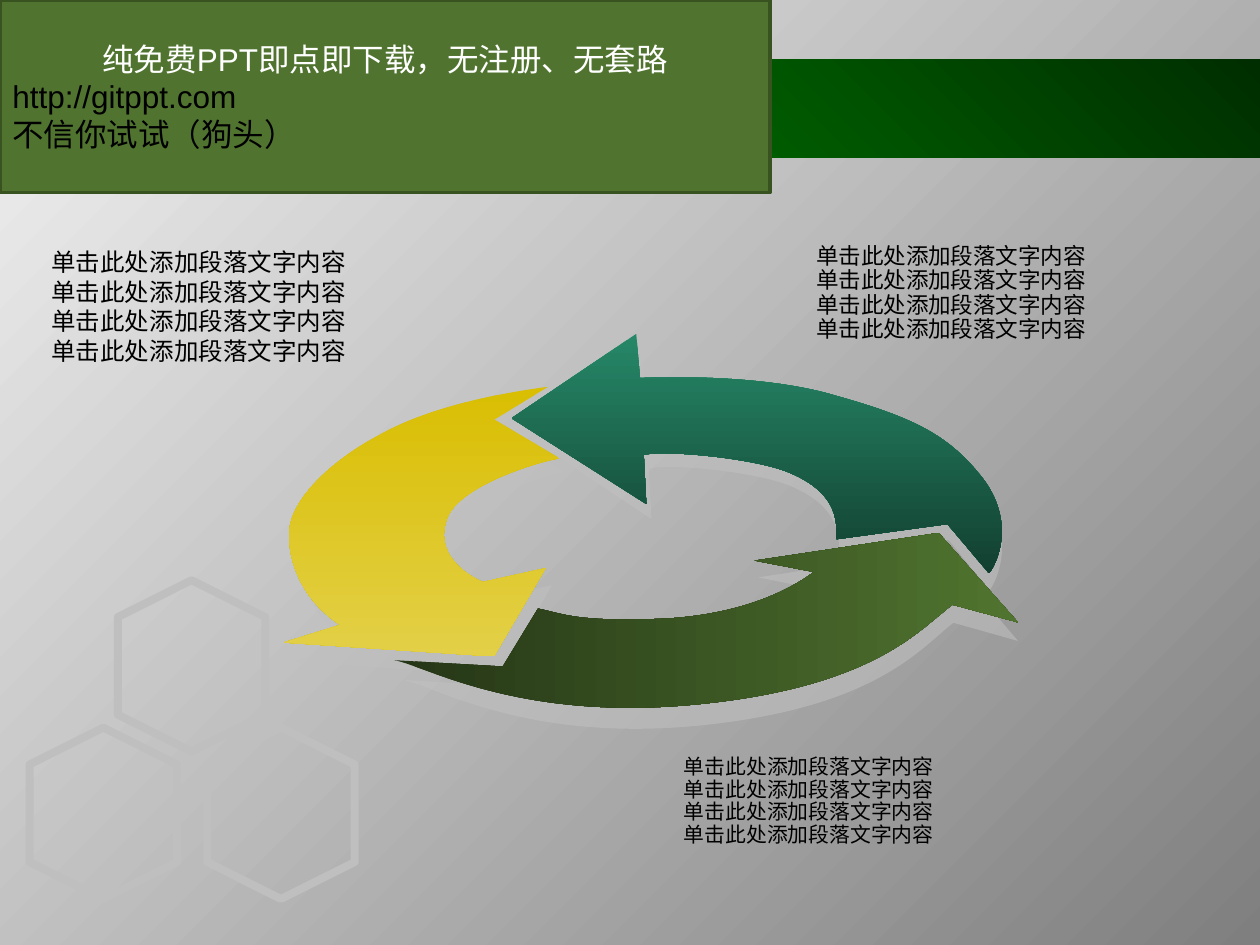
from lxml.etree import SubElement
from pptx import Presentation
from pptx.dml.color import RGBColor
from pptx.enum.shapes import MSO_SHAPE
from pptx.enum.text import MSO_ANCHOR, PP_ALIGN
from pptx.oxml.ns import qn
from pptx.util import Inches, Pt

COLORS = {
    "black": "000000", "white": "FFFFFF", "shadow": "C0C0C0", "hexagon": "BFBFBF",
    "page light": "F2F2F2", "page dark": "7F7F7F",
    "band dark": "002E00", "band bright": "006300",
    "leaf dark": "253616", "leaf": "50742F", "leaf edge": "385320",
    "teal": "268868", "teal dark": "123F30",
    "gold": "D9BE02", "gold light": "E3D047",
}

# Each outline starts at its first point; a pair is a line, six numbers a curve.
ARROWS = [
    (("leaf dark", "leaf"), 0, [
        (4.27, 4.83), (4.47, 4.87, 4.57, 4.94, 5.28, 4.91),
        (5.99, 4.87, 6.35, 4.62, 6.46, 4.54), (5.99, 4.45), (7.45, 4.23),
        (8.08, 4.94), (7.56, 4.8), (7.3, 4.99, 6.95, 5.45, 5.54, 5.59),
        (4.13, 5.73, 3.39, 5.29, 3.13, 5.24), (3.99, 5.29), (4.27, 4.83)]),
    (("teal", "teal dark"), 90, [
        (5.08, 3), (5.05, 2.65), (4.06, 3.32), (5.13, 4), (5.11, 3.61),
        (5.3, 3.57, 6, 3.64, 6.26, 3.75), (6.73, 3.94, 6.62, 4.25, 6.64, 4.28),
        (7.52, 4.16), (7.85, 4.55), (7.9, 4.49, 8.07, 4.17, 7.81, 3.81),
        (7.54, 3.46, 7.27, 3.32, 6.63, 3.14), (6, 2.95, 5.08, 3, 5.08, 3)]),
    (("gold", "gold light"), 90, [
        (2.25, 5.1), (3.92, 5.21), (4.33, 4.51), (3.83, 4.62),
        (3.7, 4.56, 3.44, 4.4, 3.55, 4.11), (3.66, 3.83, 4.37, 3.64, 4.44, 3.64),
        (3.92, 3.33), (4.35, 3.07), (3.82, 3.14, 3.33, 3.27, 3, 3.46),
        (2.66, 3.64, 2.34, 3.93, 2.3, 4.18), (2.27, 4.42, 2.38, 4.75, 2.7, 4.96),
        (2.25, 5.1)]),
]

deck = Presentation()
deck.slide_width, deck.slide_height = Inches(10), Inches(7.5)
page = deck.slides.add_slide(deck.slide_layouts[6])
unit = deck.slide_width // 10  # square grid: 10 columns by 7.5 rows


def fill_gradient(shape, names, angle):
    """Spread the named colours evenly; the angle runs clockwise."""
    shape.fill.gradient()
    shape.fill.gradient_angle = -angle % 360
    stops = shape._element.spPr.find(qn("a:gradFill")).find(qn("a:gsLst"))
    for stop in list(stops):
        stops.remove(stop)
    for index, name in enumerate(names):
        stop = SubElement(stops, qn("a:gs"), pos=str(index * 100000 // (len(names) - 1)))
        SubElement(stop, qn("a:srgbClr"), val=COLORS[name])
    shape.shadow.inherit = False
    shape.line.fill.background()


def write_text(box, text, size=18, font="Arial", colors=("black",),
               aligns=(PP_ALIGN.LEFT,), spacing=1.0):
    """Write one paragraph per line; the last colour and alignment carry on."""
    frame = box.text_frame
    frame.word_wrap = True
    frame.vertical_anchor = MSO_ANCHOR.MIDDLE
    for index, line in enumerate(text.split("\n")):
        para = frame.add_paragraph() if index else frame.paragraphs[0]
        para.alignment = aligns[min(index, len(aligns) - 1)]
        para.line_spacing = spacing
        span = para.add_run()
        span.text = line
        span.font.size = Pt(size)
        span.font.name = font
        color = colors[min(index, len(colors) - 1)]
        span.font.color.rgb = RGBColor.from_string(COLORS[color])
        SubElement(span.font._element, qn("a:ea"), typeface="Noto Sans CJK SC")


# Backdrop and title band
for top, height, names, angle in [
    (0, 7.5, ("page light", "page dark"), 45),
    (0.47, 0.78, ("band dark", "band bright", "band dark"), 315),
]:
    backdrop = page.shapes.add_shape(
        MSO_SHAPE.RECTANGLE, 0, int(top * unit), 10 * unit, int(height * unit))
    fill_gradient(backdrop, names, angle)

# Honeycomb
for column, row in [(0.14, 5.87), (0.84, 4.7), (1.55, 5.87)]:
    hexagon = page.shapes.add_shape(
        MSO_SHAPE.HEXAGON, int(column * unit), int(row * unit),
        int(1.36 * unit), int(1.17 * unit))
    hexagon.rotation = 90
    hexagon.adjustments[0] = 0.25
    hexagon.shadow.inherit = False
    hexagon.fill.background()
    hexagon.line.color.rgb = RGBColor.from_string(COLORS["hexagon"])
    hexagon.line.width = Pt(4.5)

# Ring of arrows: the shadow layer is the same ring, shifted and stretched
for is_shadow, left, top, width, height in [
    (True, 2.33, 2.73, 5.75, 3.17),
    (False, 2.25, 2.65, 5.83, 3.08),
]:
    ring = page.shapes.add_group_shape()
    for names, angle, outline in ARROWS:
        points = [
            ((left + (x - 2.25) * width / 5.83) * unit,
             (top + (y - 2.65) * height / 3.08) * unit)
            for step in outline for x, y in zip(step[::2], step[1::2])]
        builder = ring.shapes.build_freeform(*points[0])
        builder.add_line_segments(points[1:], close=True)
        arrow = builder.convert_to_shape()

        # Merge each curve's three points into one cubic segment
        lines = iter(list(arrow._element.iter(qn("a:lnTo"))))
        for step in outline[1:]:
            first = next(lines)
            if len(step) == 6:
                first.tag = qn("a:cubicBezTo")
                for line in (next(lines), next(lines)):
                    first.append(line[0])
                    line.getparent().remove(line)

        if is_shadow:
            arrow.shadow.inherit = False
            arrow.line.fill.background()
            arrow.fill.solid()
            arrow.fill.fore_color.rgb = RGBColor.from_string(COLORS["shadow"])
            tint = arrow._element.spPr.find(qn("a:solidFill"))[0]
            SubElement(tint, qn("a:alpha"), val="58000")
        else:
            fill_gradient(arrow, names, angle)

# Captions
for left, top, width, height, size, spacing in [
    (6.38, 1.83, 3, 1, 12.9, 0.9),
    (5.33, 5.9, 3.33, 0.93, 11.9, 0.9),
    (0.31, 1.9, 2.84, 1.06, 14, 1.0),
]:
    caption = page.shapes.add_textbox(
        *(int(length * unit) for length in (left, top, width, height)))
    write_text(caption, "\n".join(["单击此处添加段落文字内容"] * 4),
               size=size, font="Noto Sans CJK SC", spacing=spacing)

# Notice
notice = page.shapes.add_shape(
    MSO_SHAPE.RECTANGLE, 0, 0, int(6.11 * unit), int(1.53 * unit))
notice.shadow.inherit = False
notice.fill.solid()
notice.fill.fore_color.rgb = RGBColor.from_string(COLORS["leaf"])
notice.line.color.rgb = RGBColor.from_string(COLORS["leaf edge"])
notice.line.width = Pt(2)
write_text(notice, "纯免费PPT即点即下载，无注册、无套路\nhttp://gitppt.com\n不信你试试（狗头）",
           colors=("white", "black"), aligns=(PP_ALIGN.CENTER, PP_ALIGN.LEFT))

deck.save("out.pptx")
